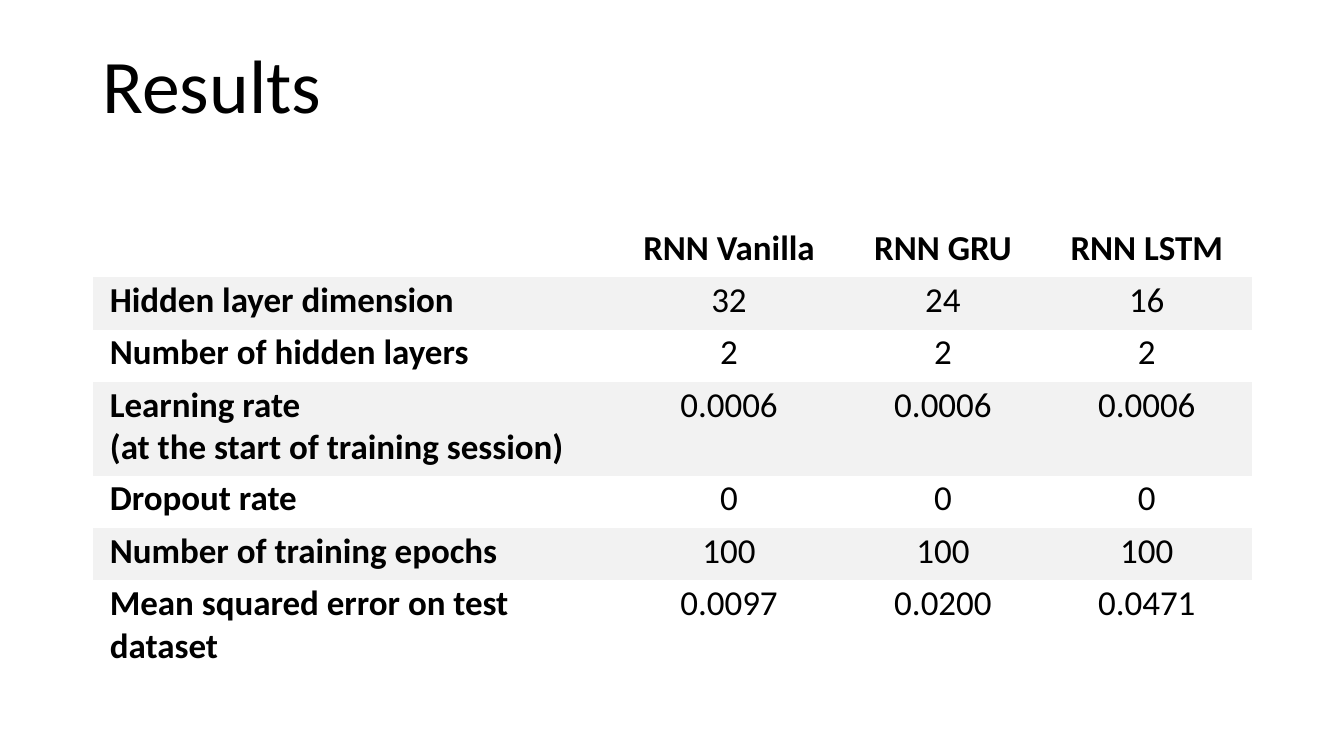
from pptx import Presentation
from pptx.dml.color import RGBColor
from pptx.enum.text import MSO_ANCHOR, PP_ALIGN
from pptx.oxml.ns import qn
from pptx.util import Inches, Pt

FONT = "Calibri"
BLACK, WHITE, BAND = "000000", "FFFFFF", "F2F2F2"
PLAIN_TABLE_STYLE = "{2D5ABB26-0587-4C30-8999-92F81FD0307C}"

COLUMN_WIDTHS = [5.16, 2.29, 1.95, 2.09]
LINE_HEIGHT, TALL_HEIGHT = 0.52, 0.93
# Row height, then the cells of the row
RESULTS = [
    (LINE_HEIGHT, ["", "RNN Vanilla", "RNN GRU", "RNN LSTM"]),
    (LINE_HEIGHT, ["Hidden layer dimension", "32", "24", "16"]),
    (LINE_HEIGHT, ["Number of hidden layers", "2", "2", "2"]),
    (TALL_HEIGHT, ["Learning rate\n(at the start of training session)",
                   "0.0006", "0.0006", "0.0006"]),
    (LINE_HEIGHT, ["Dropout rate", "0", "0", "0"]),
    (LINE_HEIGHT, ["Number of training epochs", "100", "100", "100"]),
    (TALL_HEIGHT, ["Mean squared error on test dataset",
                   "0.0097", "0.0200", "0.0471"]),
]


def color(hex_code):
    return RGBColor.from_string(hex_code)


def set_font(para, size, bold=False):
    para.font.name = FONT
    para.font.size = Pt(size)
    para.font.bold = bold
    para.font.color.rgb = color(BLACK)


def add_title(page, text, left, top, width, height):
    box = page.shapes.add_textbox(Inches(left), Inches(top),
                                  Inches(width), Inches(height))
    frame = box.text_frame
    frame.word_wrap = True
    frame.vertical_anchor = MSO_ANCHOR.BOTTOM
    para = frame.paragraphs[0]
    para.text = text
    para.line_spacing = 0.9
    set_font(para, 54)


def fill_cell(cell, text, heading, centered, fill):
    cell.margin_left = cell.margin_right = Inches(0.17)
    cell.margin_top = Inches(0.02)
    cell.margin_bottom = 0
    cell.fill.solid()
    cell.fill.fore_color.rgb = color(fill)
    cell.text = text
    for para in cell.text_frame.paragraphs:
        para.alignment = PP_ALIGN.CENTER if centered else PP_ALIGN.LEFT
        set_font(para, 25, heading)


def add_results_table(page, left, top, width, height):
    frame = page.shapes.add_table(len(RESULTS), len(COLUMN_WIDTHS),
                                  Inches(left), Inches(top),
                                  Inches(width), Inches(height))
    # Table style without borders
    for style in frame.element.iter(qn("a:tableStyleId")):
        style.text = PLAIN_TABLE_STYLE
    table = frame.table
    for column, share in zip(table.columns, COLUMN_WIDTHS):
        column.width = Inches(width * share / sum(COLUMN_WIDTHS))

    # Headings in the first row and column, a band on every second row
    for row, (row_height, texts) in enumerate(RESULTS):
        table.rows[row].height = Inches(row_height)
        for col, text in enumerate(texts):
            fill_cell(table.cell(row, col), text,
                      heading=row == 0 or col == 0, centered=col > 0,
                      fill=BAND if row % 2 else WHITE)


def main():
    deck = Presentation()
    deck.slide_width, deck.slide_height = Inches(13.33), Inches(7.5)
    page = deck.slides.add_slide(deck.slide_layouts[6])
    add_title(page, "Results", 0.92, 0.32, 11.5, 1.02)
    add_results_table(page, 0.92, 2.23, 11.5, 4.48)
    deck.save("out.pptx")


if __name__ == "__main__":
    main()
